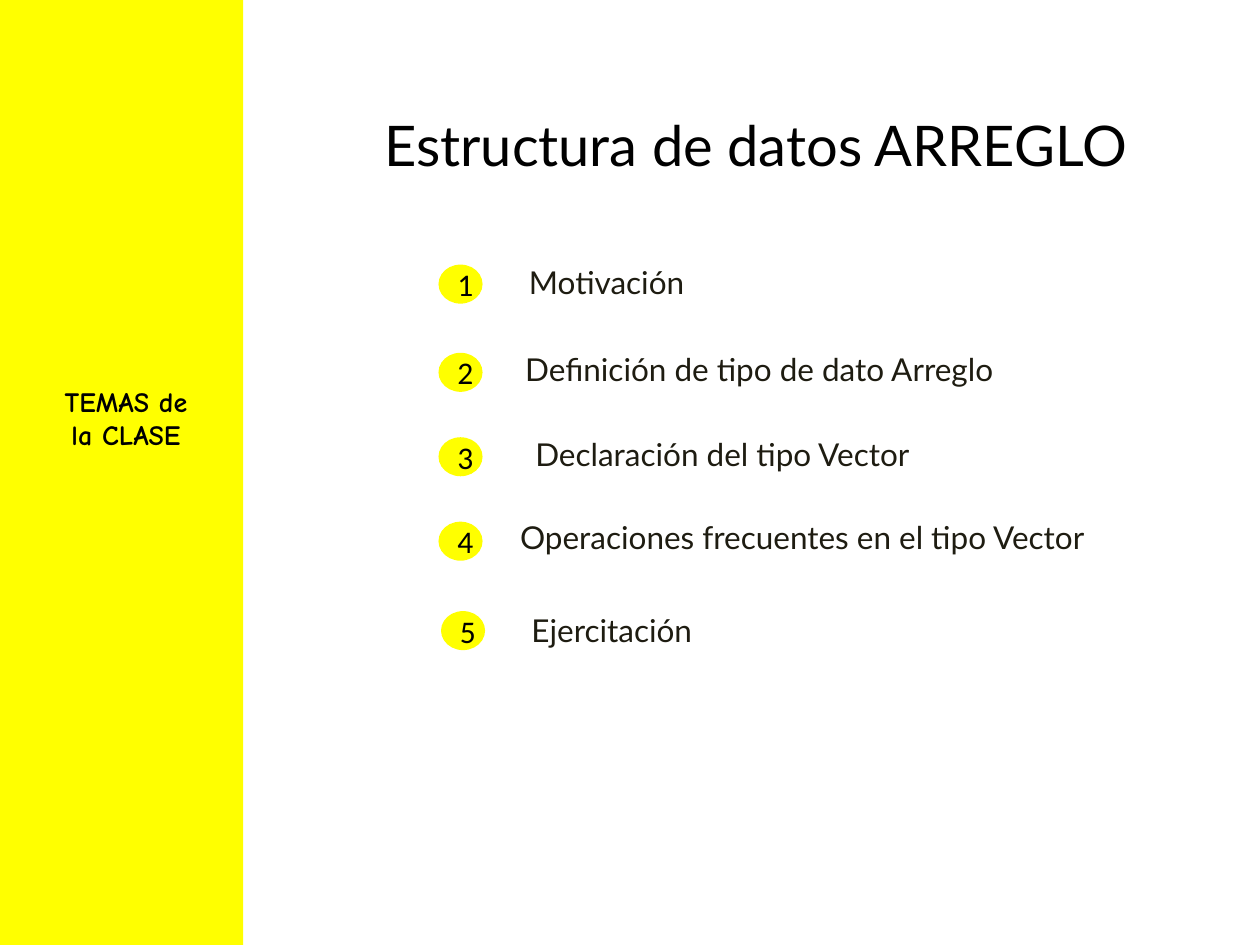
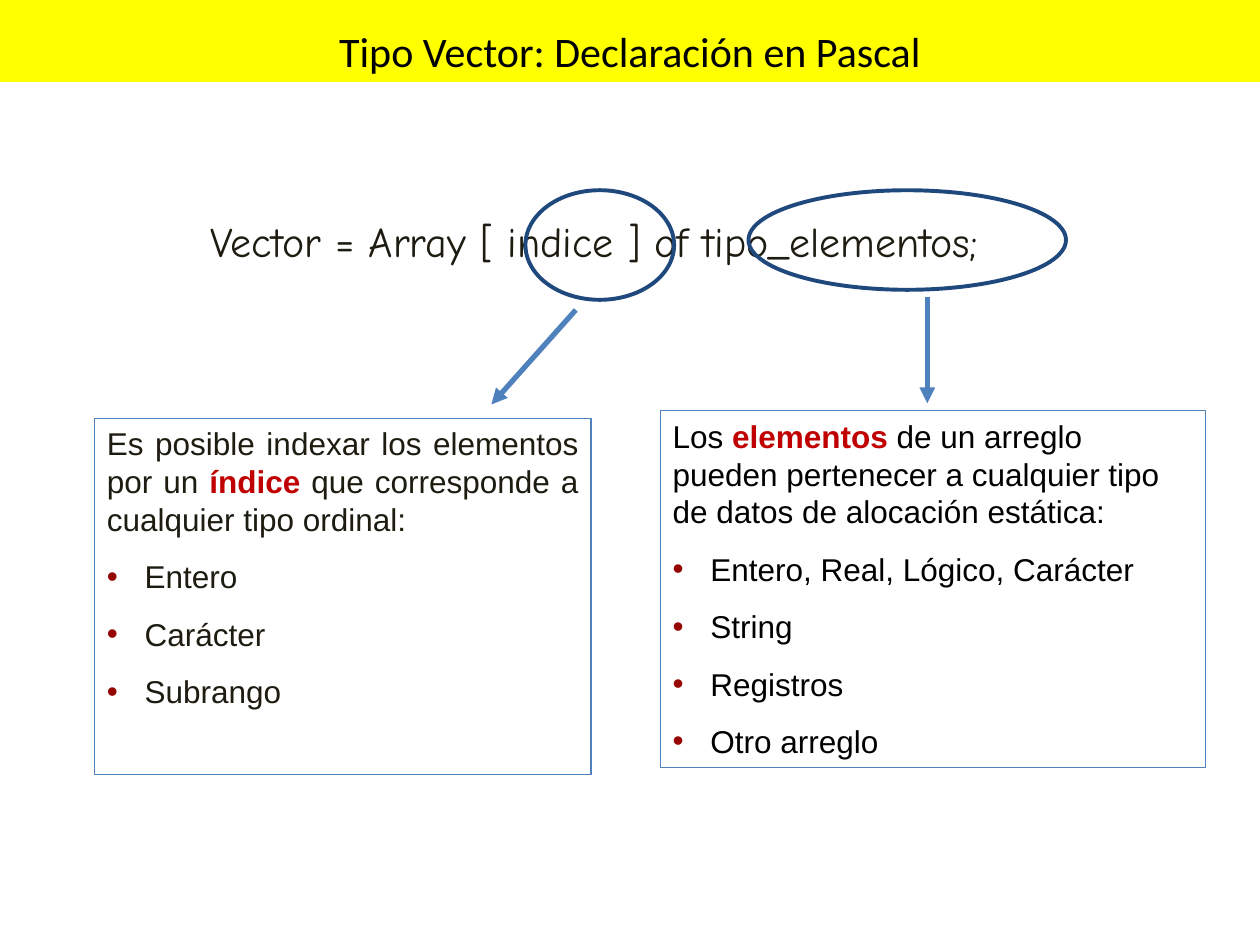
from pptx import Presentation
from pptx.dml.color import RGBColor
from pptx.enum.shapes import MSO_CONNECTOR, MSO_SHAPE
from pptx.enum.text import MSO_ANCHOR, PP_ALIGN
from pptx.oxml.ns import qn
from pptx.util import Inches, Pt
from lxml import etree

RECT, OVAL = MSO_SHAPE.RECTANGLE, MSO_SHAPE.OVAL
LINE = MSO_CONNECTOR.STRAIGHT
LEFT, CENTER, FULL = PP_ALIGN.LEFT, PP_ALIGN.CENTER, PP_ALIGN.JUSTIFY
TOP, MIDDLE, BOTTOM = MSO_ANCHOR.TOP, MSO_ANCHOR.MIDDLE, MSO_ANCHOR.BOTTOM

# Shared colours and fonts
YELLOW, WHITE, BLACK, INK = "FFFF00", "FFFFFF", "000000", "1E1C11"
BLUE, NAVY, RED, DOT = "4F81BD", "1F497D", "C00000", "950502"
LATO, CALIBRI, COMIC, ARIAL = "Lato", "Calibri", "Comic Neue", "Arial"


def color(code):
    return RGBColor.from_string(code)


def style(font, name, size, ink, bold=False):
    font.name, font.size, font.bold = name, Pt(size), bold
    font.color.rgb = color(ink)


def shape(slide, kind, box, fill=None, line=None, width=1):
    item = slide.shapes.add_shape(kind, *map(Inches, box))
    item.shadow.inherit = False
    if fill:
        item.fill.solid()
        item.fill.fore_color.rgb = color(fill)
    else:
        item.fill.background()
    if line:
        item.line.color.rgb = color(line)
        item.line.width = Pt(width)
    else:
        item.line.fill.background()
    return item


def write(item, text, name, size, ink, align=LEFT, anchor=TOP, bold=False):
    frame = item.text_frame
    frame.word_wrap, frame.vertical_anchor = True, anchor
    para = frame.paragraphs[0]
    para.text, para.alignment = text, align
    style(para.font, name, size, ink, bold)


def label(slide, box, text, name, size, ink, align=LEFT, bold=False):
    item = slide.shapes.add_textbox(*map(Inches, box))
    write(item, text, name, size, ink, align, bold=bold)


def bullet(para):
    props = para._p.get_or_add_pPr()
    props.set("marL", str(Inches(0.3)))
    props.set("indent", str(-Inches(0.3)))
    tint = etree.SubElement(props, qn("a:buClr"))
    etree.SubElement(tint, qn("a:srgbClr"), val=DOT)
    etree.SubElement(props, qn("a:buFont"), typeface=ARIAL)
    etree.SubElement(props, qn("a:buChar"), char="•")


def arrow(slide, start, end):
    item = slide.shapes.add_connector(LINE, *map(Inches, start + end))
    item.line.color.rgb = color(BLUE)
    item.line.width = Pt(3)
    etree.SubElement(item.line._get_or_add_ln(), qn("a:tailEnd"), type="triangle")
    etree.SubElement(item._element.spPr, qn("a:effectLst"))


def note(slide, box, intro, items, ink, align):
    """Framed text: an intro with its middle part in red, then bullets."""
    frame = shape(slide, RECT, box, line=BLUE, width=0.75).text_frame
    frame.word_wrap, frame.vertical_anchor = True, TOP
    para = frame.paragraphs[0]
    para.alignment, para.space_before = align, Pt(11.2)
    for part, tint in zip(intro, (ink, RED, ink)):
        run = para.add_run()
        run.text = part
        style(run.font, ARIAL, 18, tint, tint == RED)
    for text in items:
        para = frame.add_paragraph()
        para.text, para.alignment, para.space_before = text, align, Pt(11.2)
        bullet(para)
        style(para.font, ARIAL, 18, ink)


def topics(slide):
    # Side band and title
    shape(slide, RECT, (0, 0, 1.93, 7.5), YELLOW)
    label(slide, (0.39, 3, 1.22, 0.64), "TEMAS de la CLASE", COMIC, 16, BLACK,
          CENTER, True)
    label(slide, (2.95, 0.83, 6.1, 1.17), "Estructura de datos ARREGLO", LATO,
          32, BLACK, CENTER)
    # Numbered topics: dot left and top, text left and top
    rows = (
        (3.48, 2.1, 4.1, 2.04, "Motivación"),
        (3.48, 2.8, 4.07, 2.73, "Definición de tipo de dato Arreglo"),
        (3.48, 3.47, 4.15, 3.4, "Declaración del tipo Vector"),
        (3.48, 4.14, 4.03, 4.06, "Operaciones frecuentes en el tipo Vector"),
        (3.5, 4.85, 4.12, 4.8, "Ejercitación"),
    )
    for num, (dot_x, dot_y, x, y, text) in enumerate(rows, 1):
        dot = shape(slide, OVAL, (dot_x, dot_y, 0.35, 0.31), YELLOW)
        write(dot, str(num), CALIBRI, 18, BLACK, CENTER, MIDDLE)
        label(slide, (x, y, 5.2, 0.4), text, LATO, 18, INK)


def vector(slide):
    # Declaration
    code = shape(slide, RECT, (1.14, 1.66, 8.11, 0.5), WHITE)
    write(code, "Vector = Array [ indice ] of tipo_elementos;", COMIC, 24, INK)
    code.text_frame.margin_left = Inches(0.53)
    # Index
    note(slide, (0.75, 3.32, 3.94, 2.83),
         ("Es posible indexar los elementos por un ", "índice",
          " que corresponde a cualquier tipo ordinal:"),
         ("Entero", "Carácter", "Subrango"), INK, FULL)
    shape(slide, OVAL, (4.17, 1.51, 1.18, 0.87), line=NAVY, width=2.25)
    arrow(slide, (4.57, 2.46), (3.9, 3.21))
    # Elements
    note(slide, (5.24, 3.26, 4.33, 2.83),
         ("Los ", "elementos", " de un arreglo pueden pertenecer a cualquier "
          "tipo de datos de alocación estática:"),
         ("Entero, Real, Lógico, Carácter", "String", "Registros",
          "Otro arreglo"), BLACK, LEFT)
    shape(slide, OVAL, (5.94, 1.51, 2.52, 0.79), line=NAVY, width=2.25)
    arrow(slide, (7.36, 2.36), (7.36, 3.2))
    # Title band
    band = shape(slide, RECT, (0, -0.01, 10, 0.66), YELLOW)
    write(band, "Tipo Vector: Declaración en Pascal", CALIBRI, 24, BLACK,
          CENTER, BOTTOM)


def main():
    deck = Presentation()
    deck.slide_width, deck.slide_height = Inches(10), Inches(7.5)
    for build in (topics, vector):
        build(deck.slides.add_slide(deck.slide_layouts[6]))
    deck.save("out.pptx")


if __name__ == "__main__":
    main()
